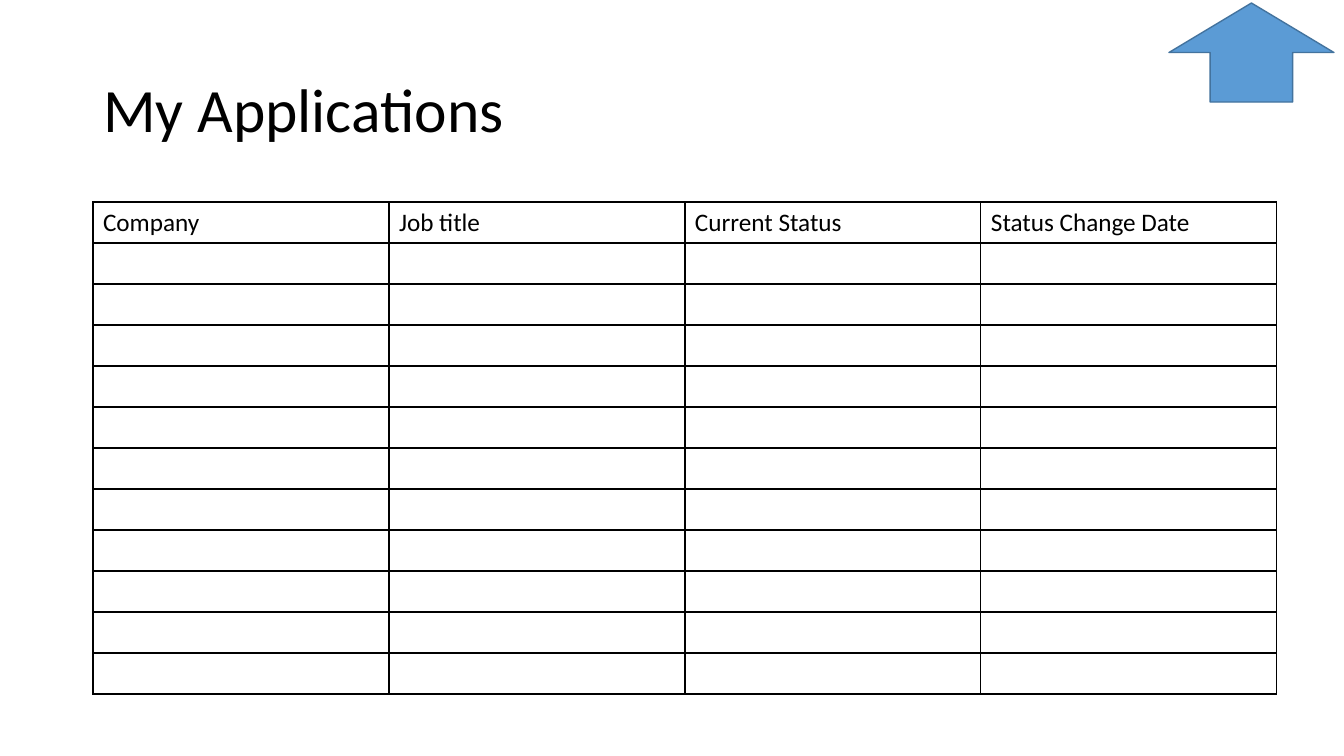
from lxml.etree import SubElement
from pptx import Presentation
from pptx.dml.color import RGBColor
from pptx.enum.shapes import MSO_SHAPE
from pptx.enum.text import MSO_ANCHOR, PP_ALIGN
from pptx.oxml.ns import qn
from pptx.util import Pt

SCALE = 914400 / 100.8
HEADERS = ["Company", "Job title", "Current Status", "Status Change Date"]
ROWS, ROW_H, COL_W = 12, 41, 296


def px(*lengths):
    """Turn pixel lengths into a list of EMU."""
    return [round(n * SCALE) for n in lengths]


def rgb(value):
    """Return the colour for a hex string."""
    return RGBColor.from_string(value)


prs = Presentation()
prs.slide_width, prs.slide_height = px(1344, 756)
s = prs.slides.add_slide(prs.slide_layouts[5])

# Title
title = s.shapes.title
title.left, title.top, title.width, title.height = px(93, 40, 1159, 146)
tf = title.text_frame
tf.text = "My Applications"
tf.word_wrap = True
tf.vertical_anchor = MSO_ANCHOR.MIDDLE
p = tf.paragraphs[0]
p.alignment = PP_ALIGN.LEFT
p.line_spacing = 0.9
p.font.size = Pt(44)
p.font.name = "Calibri"
p.font.color.rgb = rgb("000000")

# Applications table
frame = s.shapes.add_table(ROWS, len(HEADERS),
                           *px(93, 202, COL_W * len(HEADERS), ROW_H * ROWS))
table = frame.table
table.first_row = table.horz_banding = False
for column in table.columns:
    column.width = px(COL_W)[0]
for row in table.rows:
    row.height = px(ROW_H)[0]

for cell in table.iter_cells():
    tcPr = cell._tc.get_or_add_tcPr()
    for side in ("a:lnL", "a:lnR", "a:lnT", "a:lnB"):
        ln = SubElement(tcPr, qn(side), w=str(Pt(1)))
        SubElement(SubElement(ln, qn("a:solidFill")), qn("a:srgbClr"), val="000000")
    cell.fill.background()
    p = cell.text_frame.paragraphs[0]
    p.font.size = Pt(18)
    p.font.name = "Calibri"
    p.font.color.rgb = rgb("000000")

for col, header in enumerate(HEADERS):
    table.cell(0, col).text_frame.paragraphs[0].add_run().text = header

# Up arrow in the corner
arrow = s.shapes.add_shape(MSO_SHAPE.UP_ARROW, *px(1169, 3, 165, 99))
arrow.shadow.inherit = False
arrow.fill.solid()
arrow.fill.fore_color.rgb = rgb("5B9BD5")
arrow.line.color.rgb = rgb("43739E")
arrow.line.width = Pt(1)

prs.save("out.pptx")
